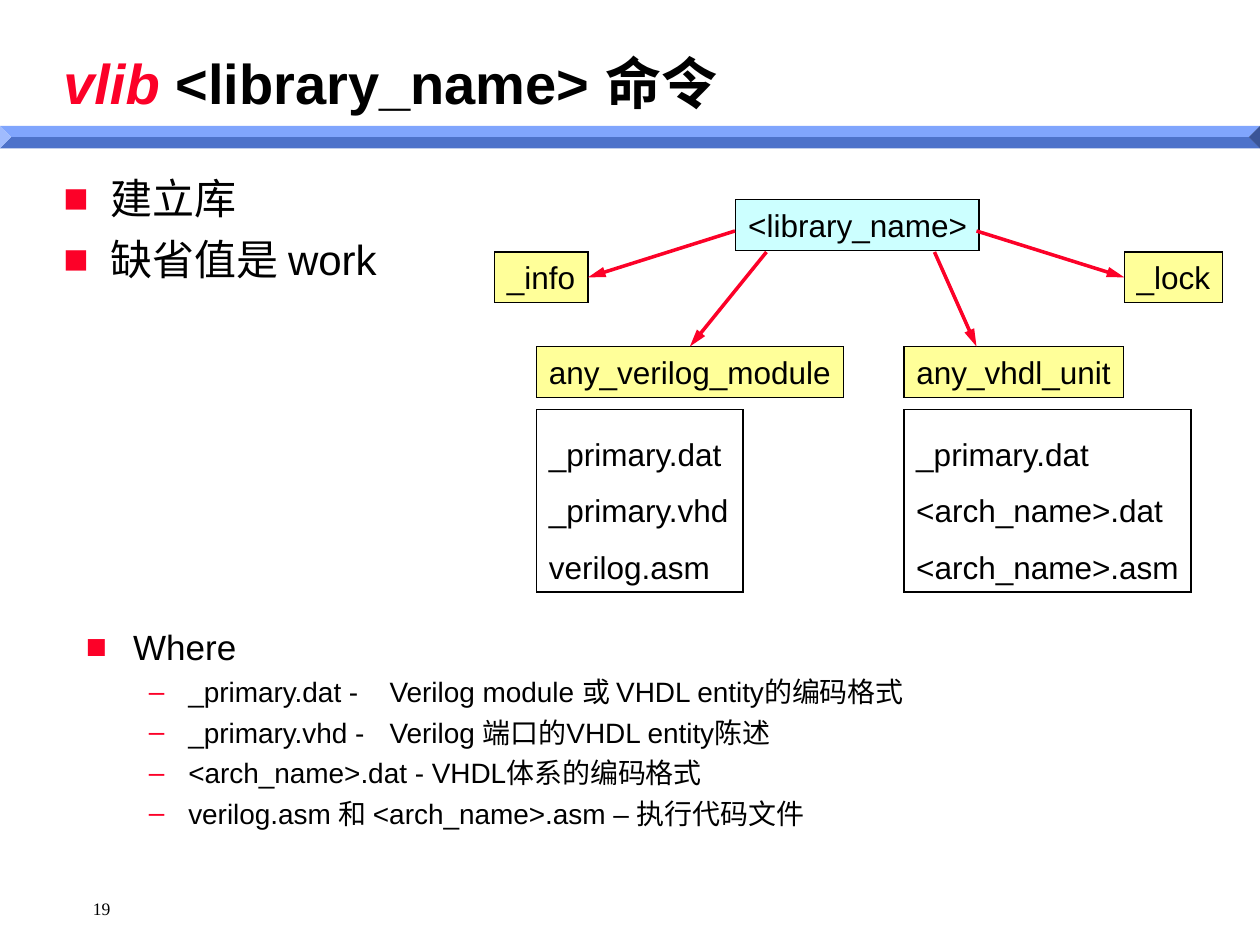
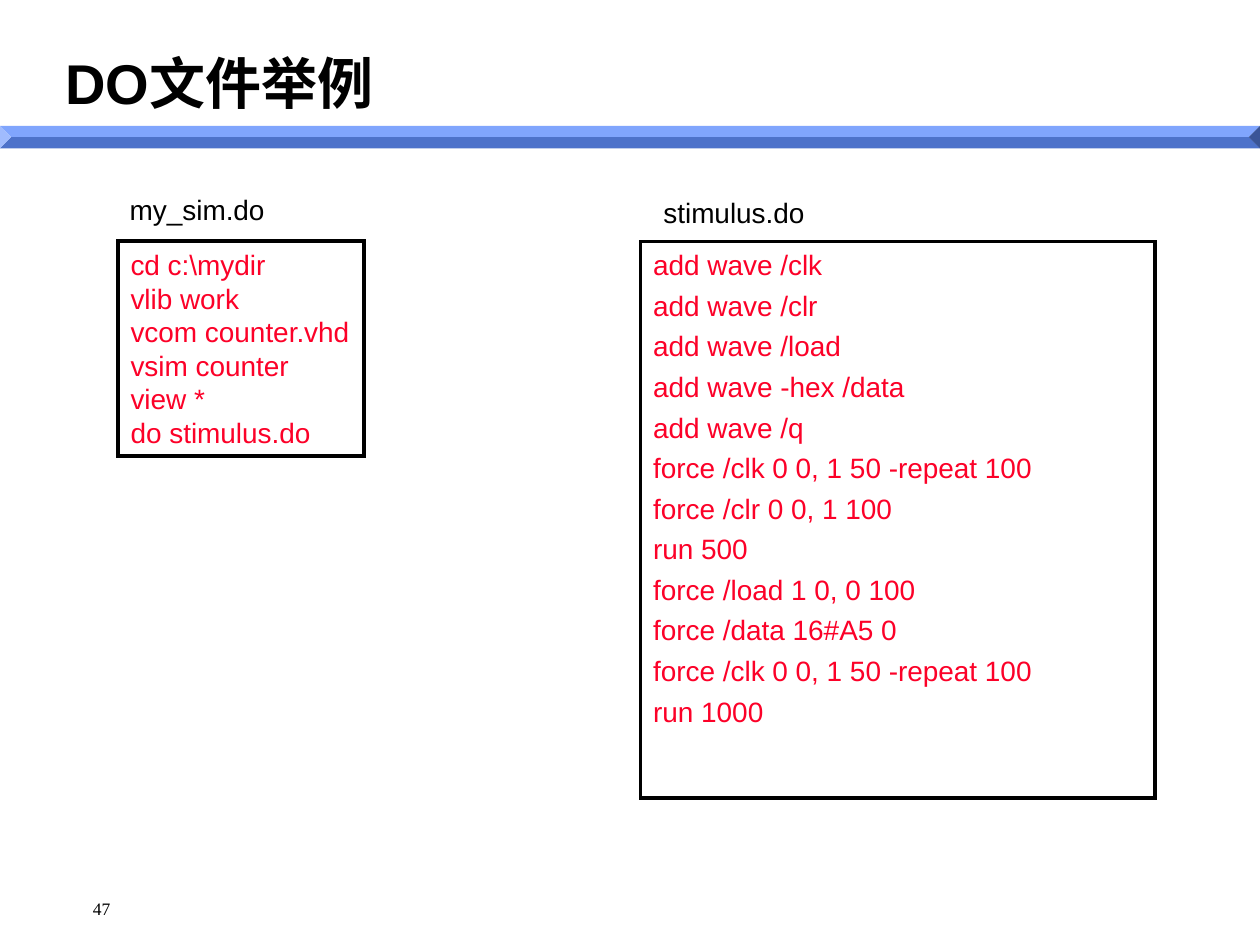
import dataclasses

import pptx
import pptx.dml.color
import pptx.enum.shapes
import pptx.enum.text
import pptx.oxml
import pptx.oxml.ns
import pptx.util
from lxml import etree

Pt = pptx.util.Pt
qn = pptx.oxml.ns.qn
Anchor = pptx.enum.text.MSO_ANCHOR
AutoSize = pptx.enum.text.MSO_AUTO_SIZE
Preset = pptx.enum.shapes.MSO_SHAPE
TOP, LEFT, RIGHT = 0, 1, 3


@dataclasses.dataclass(frozen=True)
class Theme:
    font: str = "Arial"
    number_font: str = "Times New Roman"
    black: str = "000000"
    red: str = "FC0128"
    band: str = "618FFD"
    library: str = "CCFFFF"
    unit: str = "FFFF99"
    title: int = 32
    lead: int = 24
    where: int = 20
    label: int = 18
    code: int = 16
    number: int = 10


THEME = Theme()


def rgb(value):
    return pptx.dml.color.RGBColor.from_string(value)


def write_text(paragraph, text, *, size, color=THEME.black, font=THEME.font, bold=False, italic=False):
    run = paragraph.add_run()
    run.text = text
    run.font.size = Pt(size)
    run.font.name = font
    run.font.bold = bold
    run.font.italic = italic
    run.font.color.rgb = rgb(color)


def set_layout(paragraph, *, indent=0, hanging=0, bullet=None, tab=None):
    properties = paragraph._p.get_or_add_pPr()
    properties.set("marL", str(Pt(indent)))
    properties.set("indent", str(Pt(-hanging)))
    if bullet:
        color = etree.SubElement(properties, qn("a:buClr"))
        etree.SubElement(color, qn("a:srgbClr"), val=THEME.red)
        etree.SubElement(properties, qn("a:buFont"), typeface=THEME.font)
        etree.SubElement(properties, qn("a:buChar"), char=bullet)
    else:
        etree.SubElement(properties, qn("a:buNone"))
    if tab:
        stops = etree.SubElement(properties, qn("a:tabLst"))
        etree.SubElement(stops, qn("a:tab"), pos=str(Pt(tab)), algn="l")


class Deck:
    def __init__(self, theme):
        self.theme = theme
        self.presentation = pptx.Presentation()
        self.presentation.slide_width = Pt(720)
        self.presentation.slide_height = Pt(540)
        self.layout = self.presentation.slide_layouts[1]
        self.slide = None

    def new_slide(self, number, title_left, *title_runs):
        first = self.slide is None
        self.slide = self.presentation.slides.add_slide(self.layout)
        if first:
            self.move_band_to_layout()
        title = self.slide.shapes.title
        self.place(title, title_left, 0, 657, 70)
        title.text_frame.vertical_anchor = Anchor.BOTTOM
        paragraph = title.text_frame.paragraphs[0]
        paragraph.alignment = pptx.enum.text.PP_ALIGN.LEFT
        for text, style in title_runs:
            write_text(paragraph, text, size=self.theme.title, bold=True, **style)
        footer = self.text(29, 501, 150, 36)
        footer.text_frame.vertical_anchor = Anchor.MIDDLE
        self.lines(footer, [number], size=self.theme.number, font=self.theme.number_font, layout={"indent": 17})

    def move_band_to_layout(self):
        band = self.slide.shapes.add_shape(Preset.BEVEL, 0, Pt(72), Pt(720), Pt(12.75))
        band.adjustments[0] = 0.5
        band.shadow.inherit = False
        band.fill.solid()
        band.fill.fore_color.rgb = rgb(self.theme.band)
        band.line.fill.background()
        self.layout.shapes.element.append(band.element)

    def place(self, shape, left, top, width, height):
        shape.left, shape.top, shape.width, shape.height = Pt(left), Pt(top), Pt(width), Pt(height)
        shape.text_frame.auto_size = AutoSize.NONE
        shape.text_frame.word_wrap = True

    def outline(self, shape, width):
        shape.line.color.rgb = rgb(self.theme.black)
        shape.line.width = Pt(width)
        line = shape.element.spPr.find(qn("a:ln"))
        etree.SubElement(line, qn("a:miter"), lim="800000")

    def lines(self, shape, texts, *, before=0, spacing=None, layout=None, level=0, **style):
        frame = shape.text_frame
        for text in texts:
            started = bool(frame.paragraphs[0].runs)
            paragraph = frame.add_paragraph() if started else frame.paragraphs[0]
            set_layout(paragraph, **(layout or {}))
            paragraph.level = level
            paragraph.alignment = pptx.enum.text.PP_ALIGN.LEFT
            paragraph.space_before = Pt(before if started else 0)
            if spacing:
                paragraph.line_spacing = spacing
            write_text(paragraph, text, **style)

    def body(self, left, top, width, height):
        shape = self.slide.placeholders[1]
        self.place(shape, left, top, width, height)
        return shape

    def text(self, left, top, width, height):
        shape = self.slide.shapes.add_textbox(0, 0, 0, 0)
        self.place(shape, left, top, width, height)
        return shape

    def caption(self, text, left, top, width):
        shape = self.text(left, top, width, 26.5)
        shape.text_frame.margin_right = 0
        self.lines(shape, [text], size=self.theme.code)

    def box(self, texts, left, top, width, height=29, *, fill=None, line=0.75, size=THEME.label, **style):
        shape = self.slide.shapes.add_shape(Preset.RECTANGLE, 0, 0, 0, 0)
        self.place(shape, left, top, width, height)
        shape.text_frame.margin_right = 0
        shape.text_frame.vertical_anchor = Anchor.TOP
        shape.shadow.inherit = False
        if fill:
            shape.fill.solid()
            shape.fill.fore_color.rgb = rgb(fill)
        else:
            shape.fill.background()
        self.outline(shape, line)
        self.lines(shape, texts, size=size, **style)
        return shape

    def arrow(self, start, end, end_join=None):
        connector = self.slide.shapes.add_connector(
            pptx.enum.shapes.MSO_CONNECTOR.STRAIGHT, *map(Pt, start + end)
        )
        connector.line.color.rgb = rgb(self.theme.red)
        connector.line.width = Pt(2)
        properties = connector.element.spPr
        etree.SubElement(properties.find(qn("a:ln")), qn("a:tailEnd"), type="triangle", len="lg")
        etree.SubElement(properties, qn("a:effectLst"))
        if end_join:
            connector.end_connect(*end_join)


def build_library_slide(deck):
    theme = deck.theme
    deck.new_slide("19", 29, ("vlib", {"color": theme.red, "italic": True}), (" <library_name> 命令", {}))
    square = {"indent": 27, "hanging": 27, "bullet": "■"}
    dash = {"indent": 58.5, "hanging": 22.5, "bullet": "–", "tab": 173.5}
    deck.lines(deck.body(29, 95, 241, 79), ["建立库", "缺省值是 work"], size=theme.lead, before=6, layout=square)

    deck.box(["<library_name>"], 420.5, 114, 139, fill=theme.library)
    info = deck.box(["_info"], 282.5, 144, 53.5, fill=theme.unit)
    lock = deck.box(["_lock"], 642.5, 144, 56, fill=theme.unit)
    module = deck.box(["any_verilog_module"], 306.5, 198, 175.5, fill=theme.unit)
    deck.box(["any_vhdl_unit"], 516.5, 198, 125.5, fill=theme.unit)
    for left, width, files in (
        (306.5, 118, ["_primary.dat", "_primary.vhd", "verilog.asm"]),
        (516.5, 164, ["_primary.dat", "<arch_name>.dat", "<arch_name>.asm"]),
    ):
        deck.box(files, left, 234, width, 104.5, line=1, spacing=1.5)

    deck.arrow((420, 132), (336, 156), (info, RIGHT))
    deck.arrow((438, 144), (396, 198), (module, TOP))
    deck.arrow((534, 144), (558, 198))
    deck.arrow((558, 132), (642, 156), (lock, LEFT))

    where = deck.text(42, 354, 612, 126)
    deck.lines(where, ["Where"], size=theme.where, layout=square)
    meanings = [
        "_primary.dat -\tVerilog module 或 VHDL entity的编码格式",
        "_primary.vhd -\tVerilog 端口的VHDL entity陈述",
        "<arch_name>.dat - VHDL体系的编码格式",
        "verilog.asm 和 <arch_name>.asm – 执行代码文件",
    ]
    deck.lines(where, meanings, size=theme.code, before=4, level=1, layout=dash)


def build_do_file_slide(deck):
    theme = deck.theme
    deck.new_slide("47", 30, ("DO文件举例", {}))
    code = {"size": theme.code, "color": theme.red}
    stimulus = deck.body(366, 138, 294, 318)
    deck.outline(stimulus, 2.25)
    commands = [
        "add wave /clk",
        "add wave /clr",
        "add wave /load",
        "add wave -hex /data",
        "add wave /q",
        "force /clk 0 0, 1 50 -repeat 100",
        "force /clr 0 0, 1 100",
        "run 500",
        "force /load 1 0, 0 100",
        "force /data 16#A5 0",
        "force /clk 0 0, 1 50 -repeat 100",
        "run 1000",
    ]
    deck.lines(stimulus, commands, before=4, layout={"indent": 27, "hanging": 27}, **code)
    simulation = [
        "cd c:\\mydir",
        "vlib work",
        "vcom counter.vhd",
        "vsim counter",
        "view *",
        "do stimulus.do",
    ]
    deck.box(simulation, 67.5, 138, 140.5, 122.5, line=2.25, **code)
    deck.caption("my_sim.do", 67, 106.5, 91.5)
    deck.caption("stimulus.do", 372, 108, 95)


def main():
    deck = Deck(THEME)
    build_library_slide(deck)
    build_do_file_slide(deck)
    deck.presentation.save("out.pptx")


if __name__ == "__main__":
    main()
